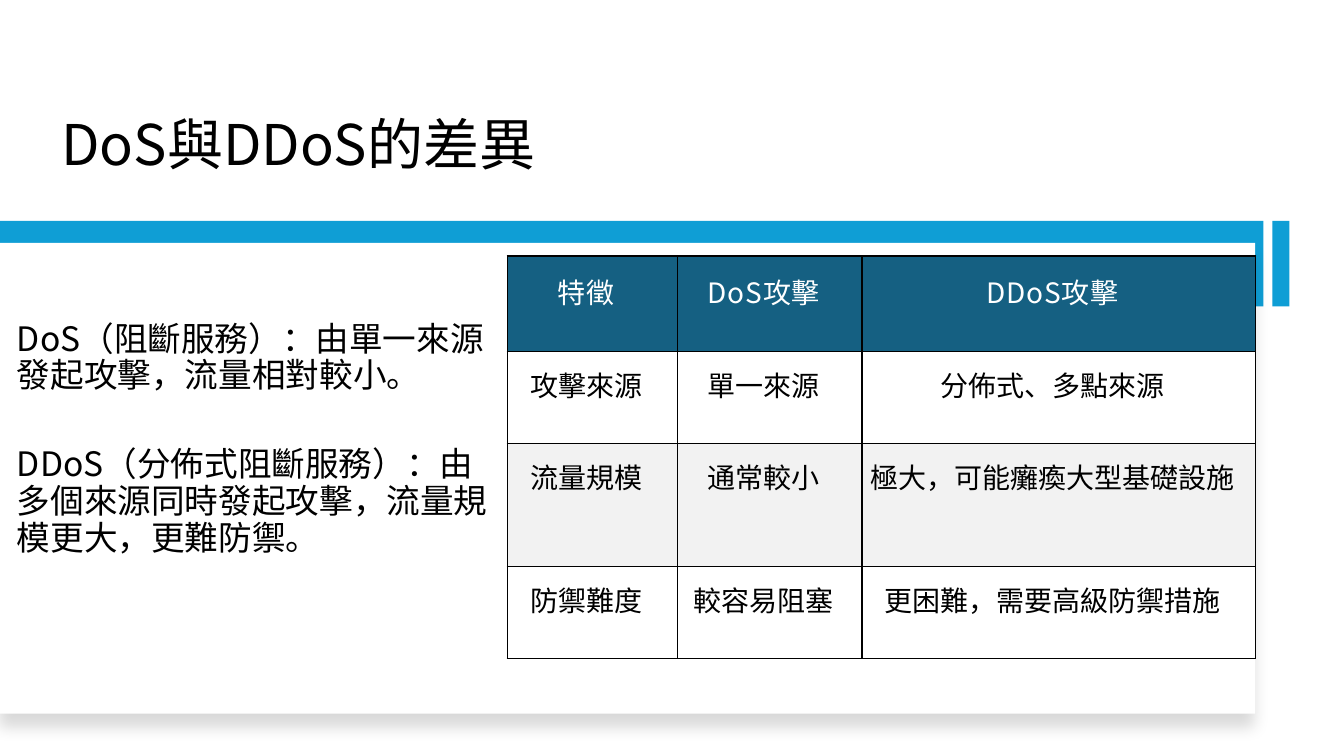
from lxml import etree
from pptx import Presentation
from pptx.dml.color import RGBColor
from pptx.enum import shapes, text
from pptx.oxml import ns, parse_xml
from pptx.util import Inches, Pt

HUES = {"ink": "000000", "paper": "FFFFFF", "blue": "0F9ED5",
        "head": "156082", "band": "F2F2F2"}
FONT = "Noto Sans CJK SC"
MAIN = ns.nsdecls("a")


def write(para, words, size, hue="ink"):
    run = para.add_run()
    run.text = words
    look = {"name": FONT, "size": Pt(size)}
    for key, val in look.items():
        setattr(run.font, key, val)
    run.font.color.rgb = RGBColor.from_string(HUES[hue])
    east = etree.SubElement(run.font._element, ns.qn("a:ea"))
    east.set("typeface", FONT)
    return run


def add_text(box, anchor, low=0.05):
    """Add a wrapped text box with the given anchor and bottom inset."""
    frame = slide.shapes.add_textbox(*map(Inches, box)).text_frame
    look = {"word_wrap": True, "vertical_anchor": anchor,
            "margin_bottom": Inches(low)}
    for key, val in look.items():
        setattr(frame, key, val)
    return frame


deck = Presentation()
deck.slide_width, deck.slide_height = Inches(13.33), Inches(7.5)
slide = deck.slides.add_slide(deck.slide_layouts[6])

# Title
para = add_text((0.51, 0.95, 11.01, 0.86), text.MSO_ANCHOR.BOTTOM).paragraphs[0]
para.line_spacing = 0.9
write(para, "DoS與DDoS的差異", 40)

# Blue bar, white panel over it, blue tab at the right
bars = [((0, 2.19, 12.53, 0.85), "blue"),
        ((0, 2.41, 12.45, 4.67), "paper"),
        ((12.62, 2.19, 0.17, 0.85), "blue")]
for box, hue in bars:
    bar = slide.shapes.add_shape(shapes.MSO_SHAPE.RECTANGLE, *map(Inches, box))
    bar.shadow.inherit = False
    bar.fill.solid()
    bar.fill.fore_color.rgb = RGBColor.from_string(HUES[hue])
    bar.line.fill.background()
    if hue == "paper":
        glow = bar._element.spPr.find(ns.qn("a:effectLst"))
        glow.append(parse_xml(
            f'<a:outerShdw {MAIN} blurRad="{Pt(11)}" dist="{Pt(10)}" dir="5400000"'
            f' algn="t" rotWithShape="0"><a:srgbClr val="{HUES["ink"]}">'
            '<a:alpha val="15000"/></a:srgbClr></a:outerShdw>'))

# Definitions
notes = ["DoS（阻斷服務）：由單一來源發起攻擊，流量相對較小。",
         "DDoS（分佈式阻斷服務）：由多個來源同時發起攻擊，流量規模更大，更難防禦。"]
frame = add_text((0.07, 2.54, 4.96, 3.98), text.MSO_ANCHOR.MIDDLE, 0.4)
for i, words in enumerate(notes):
    para = frame.add_paragraph() if i else frame.paragraphs[0]
    look = {"line_spacing": Pt(26.3), "space_before": Pt(31 * i),
            "space_after": Pt(6)}
    for key, val in look.items():
        setattr(para, key, val)
    write(para, words, 24)

# Comparison table
rows = [("特徵", "DoS攻擊", "DDoS攻擊"),
        ("攻擊來源", "單一來源", "分佈式、多點來源"),
        ("流量規模", "通常較小", "極大，可能癱瘓大型基礎設施"),
        ("防禦難度", "較容易阻塞", "更困難，需要高級防禦措施")]
wides = [1.69, 1.83, 3.9]
highs = [0.95, 0.91, 1.22, 0.91]
fills = ["head", None, "band", None]
table = slide.shapes.add_table(
    len(rows), len(wides), Inches(5.03), Inches(2.54),
    Inches(sum(wides)), Inches(sum(highs))).table
table.horz_banding = table.first_row = False
for col, wide in zip(table.columns, wides):
    col.width = Inches(wide)
for r, row in enumerate(rows):
    table.rows[r].height = Inches(highs[r])
    for c, words in enumerate(row):
        cell = table.cell(r, c)
        top = r == 0
        look = {"margin_left": 0, "margin_top": Inches(0.12),
                "margin_right": Inches(0.12), "margin_bottom": Inches(0.37),
                "vertical_anchor": text.MSO_ANCHOR.MIDDLE if top
                else text.MSO_ANCHOR.TOP}
        for key, val in look.items():
            setattr(cell, key, val)
        para = cell.text_frame.paragraphs[0]
        para.alignment = text.PP_ALIGN.CENTER
        run = write(para, words, 20, "paper" if top else "ink")
        if top:
            run.font._element.set("spc", "60")
        props = cell._tc.get_or_add_tcPr()
        for side in ("lnL", "lnR", "lnT", "lnB"):
            props.append(parse_xml(
                f'<a:{side} {MAIN} w="{Pt(1)}"><a:solidFill>'
                f'<a:srgbClr val="{HUES["ink"]}"/></a:solidFill></a:{side}>'))
        if fills[r]:
            cell.fill.solid()
            cell.fill.fore_color.rgb = RGBColor.from_string(HUES[fills[r]])
        else:
            cell.fill.background()

deck.save("out.pptx")
